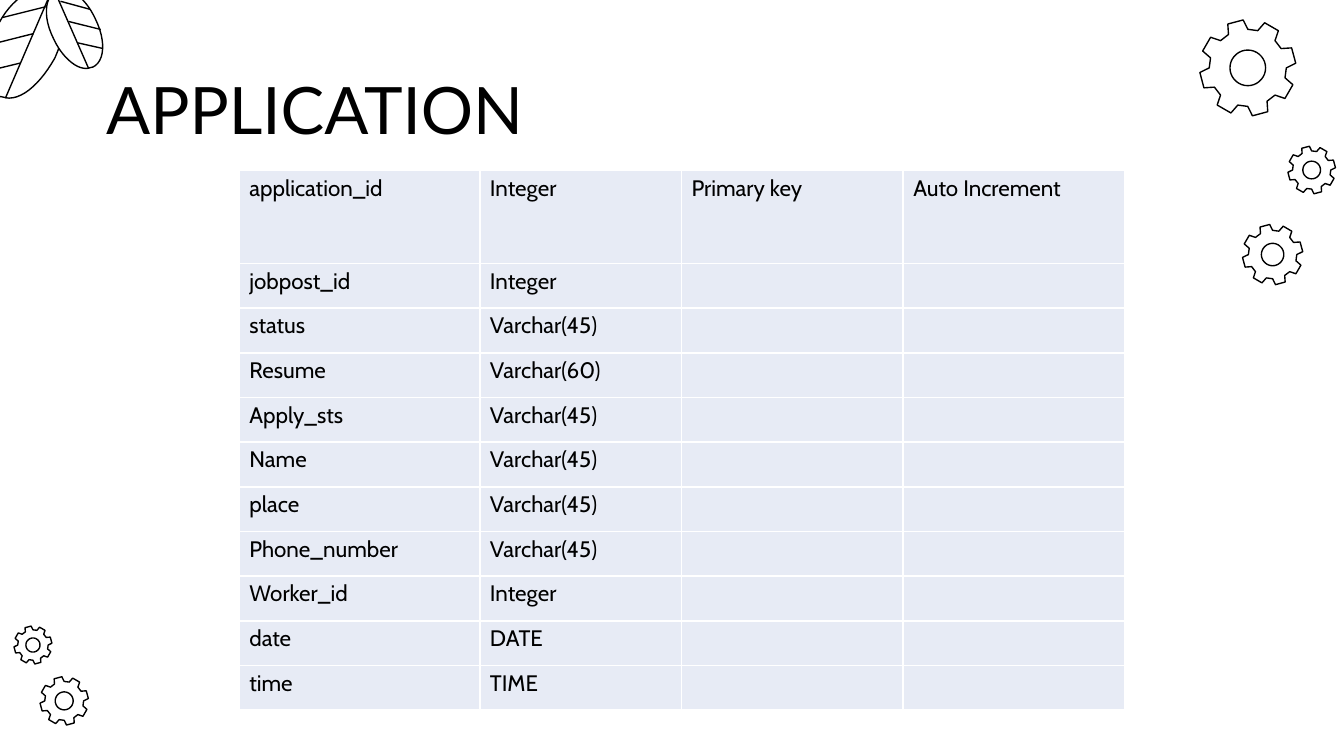
from math import cos, radians, sin

from lxml.etree import SubElement
from pptx import Presentation
from pptx.dml.color import RGBColor
from pptx.enum.text import MSO_ANCHOR
from pptx.oxml.ns import qn
from pptx.util import Pt

COLORS = {"ink": "000000", "paper": "FFFFFF", "cell": "E7EBF5"}
TITLE = "APPLICATION"
ROWS = [
    ("application_id", "Integer", "Primary key", "Auto Increment"),
    ("jobpost_id", "Integer", "", ""),
    ("status", "Varchar(45)", "", ""),
    ("Resume", "Varchar(60)", "", ""),
    ("Apply_sts", "Varchar(45)", "", ""),
    ("Name", "Varchar(45)", "", ""),
    ("place", "Varchar(45)", "", ""),
    ("Phone_number", "Varchar(45)", "", ""),
    ("Worker_id", "Integer", "", ""),
    ("date", "DATE", "", ""),
    ("time", "TIME", "", ""),
]
COL_WIDTHS = [128.9, 108, 118.8, 118.8]
FIRST_ROW, OTHER_ROWS = 49.8, 23.95

# Centre x, centre y, outer radius
GEARS = [
    (681.8, 136.4, 16.2),
    (702.7, 91.1, 12.8),
    (668.5, 36.4, 25.8),
    (34.4, 375.5, 13),
    (17.7, 345.6, 10.2),
]
# Outline: start point, then Bezier segments of two controls and an end
LEAVES = [
    {
        "start": (5, 52.6),
        "curves": [
            ((2.9, 52.6), (1.4, 51.8), (0, 51.8)),
            ((-8.6, 47.5), (-9.4, 31.7), (-2.2, 15.8)),
            ((3.6, 2.9), (13.7, -5.8), (22.3, -5.8)),
            ((23.8, -5.8), (25.2, -5), (26.6, -4.3)),
            ((35.3, 0), (36.7, 15.1), (29.5, 31)),
            ((22.3, 43.9), (13, 52.6), (5, 52.6)),
        ],
        "veins": [
            ((24.5, 3.6), (1.4, 9.4)),
            ((18, 18), (-5, 23.8)),
            ((10.8, 33.8), (-7.2, 38.2)),
            ((2.9, 52.6), (27.4, -4.3)),
        ],
    },
    {
        "start": (46.1, 36.7),
        "curves": [
            ((47.5, 36.7), (49, 36), (49.7, 36)),
            ((56.2, 33.1), (56.9, 21.6), (51.1, 10.1)),
            ((46.8, 0.7), (39.6, -5.8), (33.8, -5.8)),
            ((32.4, -5.8), (31.7, -5), (30.2, -5)),
            ((23.8, -1.4), (23, 9.4), (28.8, 20.9)),
            ((33.1, 30.2), (40.3, 36.7), (46.1, 36.7)),
        ],
        "veins": [
            ((32.4, 0.7), (48.2, 5)),
            ((36.7, 11.5), (54, 15.8)),
            ((41.8, 23), (54.7, 25.9)),
            ((47.5, 36.7), (29.5, -4.3)),
        ],
    },
]


def rgb(name):
    return RGBColor.from_string(COLORS[name])


def style_text(p, font, size):
    p.font.name = font
    p.font.size = Pt(size)
    p.font.color.rgb = rgb("ink")


def add_outline(s, contours, fill=None):
    """Draw closed contours, given in points, as one freeform."""
    scaled = [[(x * 100, y * 100) for x, y in c] for c in contours]
    fb = s.shapes.build_freeform(*scaled[0][0], scale=Pt(0.01))
    for i, contour in enumerate(scaled):
        if i:
            fb.move_to(*contour[0])
        fb.add_line_segments(contour[1:], close=True)
    sp = fb.convert_to_shape()
    sp.shadow.inherit = False
    if fill:
        sp.fill.solid()
        sp.fill.fore_color.rgb = rgb(fill)
    else:
        sp.fill.background()
    sp.line.color.rgb = rgb("ink")
    sp.line.width = Pt(0.75)


def add_gear(s, cx, cy, radius):
    def polar(r, angle):
        a = radians(angle)
        return cx + r * cos(a), cy + r * sin(a)

    # Each tooth: foot, two tip corners, foot
    tooth = [(0.8, -15), (1, -9.5), (1, 9.5), (0.8, 15)]
    rim = [polar(radius * k, 30 + 45 * n + da) for n in range(8) for k, da in tooth]
    hole = [polar(radius * 0.37, angle) for angle in range(0, 360, 10)]
    add_outline(s, [rim, hole])


def sample_curves(start, curves, steps=12):
    points = [start]
    for b, c, d in curves:
        a = points[-1]
        for i in range(1, steps + 1):
            t = i / steps
            u = 1 - t
            weights = (u**3, 3 * u * u * t, 3 * u * t * t, t**3)
            points.append(tuple(
                sum(w * q[axis] for w, q in zip(weights, (a, b, c, d)))
                for axis in (0, 1)))
    return points


def add_vein(s, start, end):
    line = s.shapes.add_connector(1, *(Pt(v) for v in start + end))
    line.line.color.rgb = rgb("ink")
    line.line.width = Pt(0.75)
    SubElement(line._element.spPr, qn("a:effectLst"))


def style_cell(cell, text):
    cell.margin_left = cell.margin_right = Pt(5.4)
    cell.margin_top = cell.margin_bottom = 0
    cell.fill.solid()
    cell.fill.fore_color.rgb = rgb("cell")
    p = cell.text_frame.paragraphs[0]
    if text:
        p.text = text
        p.line_spacing = 1.15
    style_text(p, "Cabin", 12)
    tcPr = cell._tc.get_or_add_tcPr()
    for i, side in enumerate(("lnL", "lnR", "lnT", "lnB")):
        ln = tcPr.makeelement(qn(f"a:{side}"), {"w": str(Pt(1))})
        fill = SubElement(ln, qn("a:solidFill"))
        SubElement(fill, qn("a:srgbClr"), val=COLORS["paper"])
        tcPr.insert(i, ln)


def add_schema_table(s):
    heights = [FIRST_ROW] + [OTHER_ROWS] * (len(ROWS) - 1)
    frame = s.shapes.add_table(
        len(ROWS), len(COL_WIDTHS), Pt(128.2), Pt(91.4),
        Pt(sum(COL_WIDTHS)), Pt(sum(heights)))
    table = frame.table
    table.first_row = table.horz_banding = False
    for col, width in zip(table.columns, COL_WIDTHS):
        col.width = Pt(width)
    for row, height, texts in zip(table.rows, heights, ROWS):
        row.height = Pt(height)
        for cell, text in zip(row.cells, texts):
            style_cell(cell, text)


def main():
    prs = Presentation()
    prs.slide_width, prs.slide_height = Pt(720), Pt(405)
    s = prs.slides.add_slide(prs.slide_layouts[6])
    for gear in GEARS:
        add_gear(s, *gear)
    for leaf in LEAVES:
        add_outline(s, [sample_curves(leaf["start"], leaf["curves"])], "paper")
        for vein in leaf["veins"]:
            add_vein(s, *vein)

    tf = s.shapes.add_textbox(Pt(56.9), Pt(35.3), Pt(607), Pt(45.4)).text_frame
    tf.word_wrap = True
    tf.vertical_anchor = MSO_ANCHOR.MIDDLE
    tf.margin_left = tf.margin_right = tf.margin_top = tf.margin_bottom = 0
    tf.text = TITLE
    style_text(tf.paragraphs[0], "Lato", 35)
    add_schema_table(s)
    prs.save("out.pptx")


if __name__ == "__main__":
    main()
